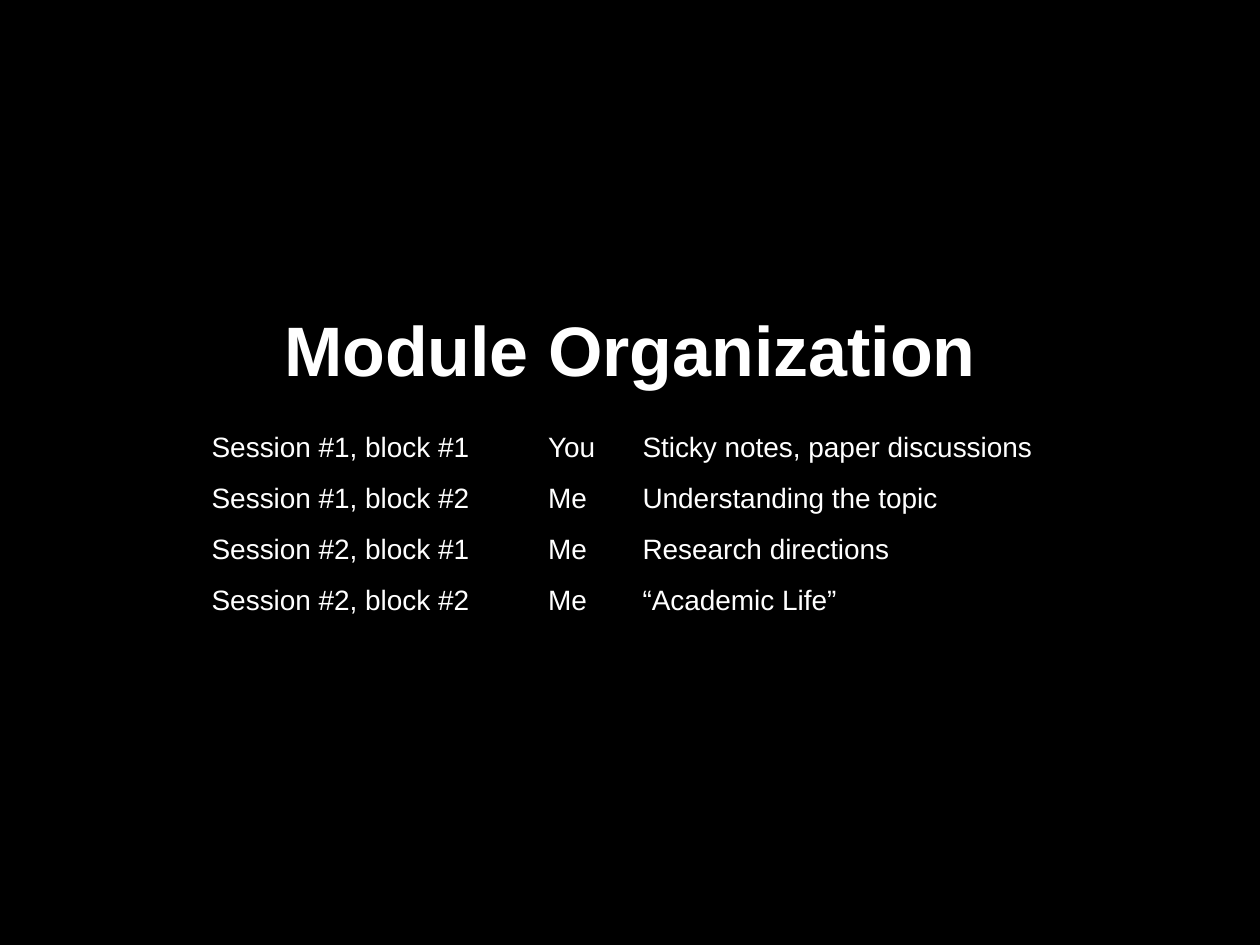
"""Build the module organization slide: a title above a borderless schedule."""
from pptx import Presentation
from pptx.dml.color import RGBColor
from pptx.enum.text import MSO_ANCHOR, PP_ALIGN
from pptx.oxml.ns import qn
from pptx.util import Inches, Pt

TITLE = "Module Organization"
SCHEDULE = [
    ("Session #1, block #1", "You", "Sticky notes, paper discussions"),
    ("Session #1, block #2", "Me", "Understanding the topic"),
    ("Session #2, block #1", "Me", "Research directions"),
    ("Session #2, block #2", "Me", "“Academic Life”"),
]
COLUMN_WIDTHS = (2.67, 0.75, 3.83)
TABLE_HEIGHT = 1.62
NO_GRID_STYLE = "{2D5ABB26-0587-4C30-8999-92F81FD0307C}"
BLACK = RGBColor(0, 0, 0)
WHITE = RGBColor(255, 255, 255)


def set_font(p, size, bold):
    p.font.name = "Arial"
    p.font.size = Pt(size)
    p.font.bold = bold
    p.font.color.rgb = WHITE


def add_title(s):
    title = s.shapes.title
    title.left, title.top = Inches(0), Inches(2.38)
    title.width, title.height = Inches(10), Inches(0.77)
    tf = title.text_frame
    tf.text = TITLE
    tf.vertical_anchor = MSO_ANCHOR.MIDDLE
    p = tf.paragraphs[0]
    p.alignment = PP_ALIGN.CENTER
    set_font(p, 40, True)


def add_schedule(s):
    frame = s.shapes.add_table(
        len(SCHEDULE), len(COLUMN_WIDTHS), Inches(1.58), Inches(3.38),
        Inches(sum(COLUMN_WIDTHS)), Inches(TABLE_HEIGHT))
    table = frame.table
    table.first_row = table.horz_banding = False
    frame._element.find(".//" + qn("a:tableStyleId")).text = NO_GRID_STYLE
    for column, width in zip(table.columns, COLUMN_WIDTHS):
        column.width = Inches(width)
    for row, texts in zip(table.rows, SCHEDULE):
        for cell, text in zip(row.cells, texts):
            cell.text = text
            cell.fill.background()
            set_font(cell.text_frame.paragraphs[0], 16, False)


def main():
    prs = Presentation()
    prs.slide_width, prs.slide_height = Inches(10), Inches(7.5)
    s = prs.slides.add_slide(prs.slide_layouts[5])
    s.background.fill.solid()
    s.background.fill.fore_color.rgb = BLACK
    add_title(s)
    add_schedule(s)
    prs.save("out.pptx")


if __name__ == "__main__":
    main()
